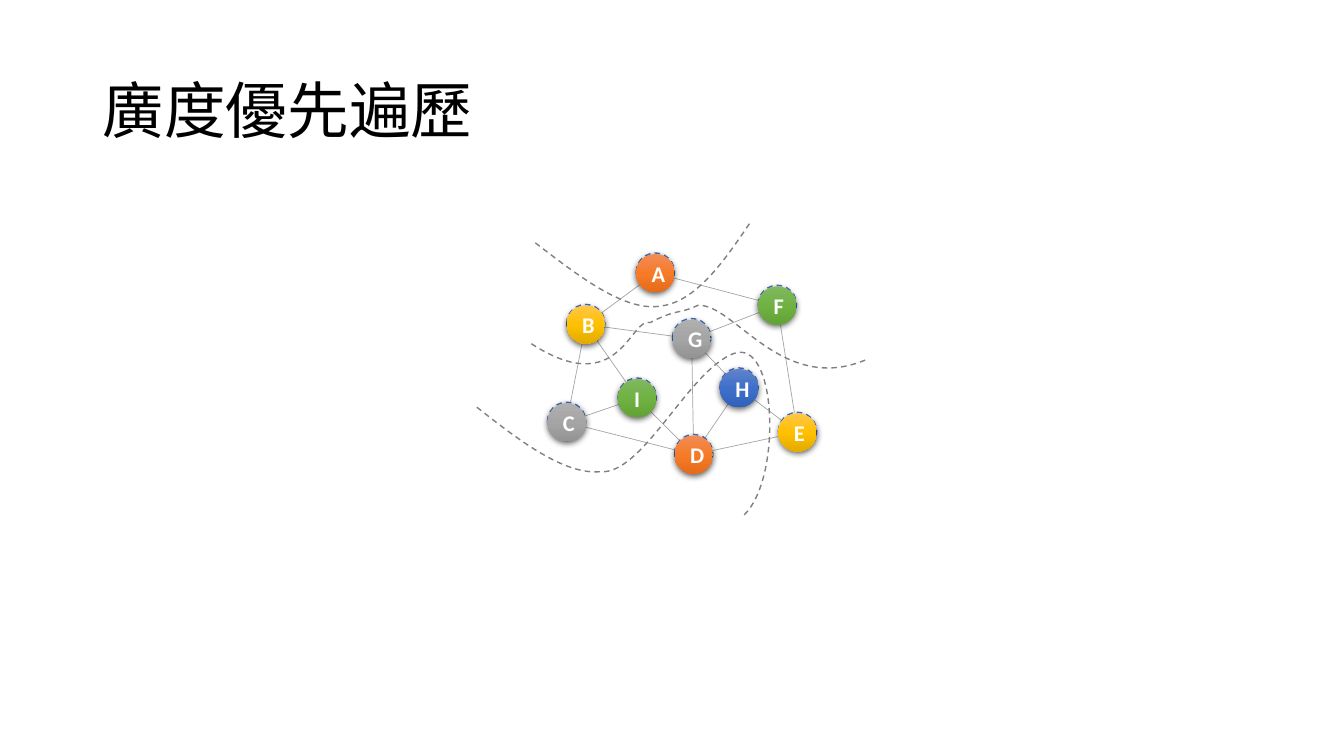
"""Build a slide showing the layers of a breadth-first traversal of a graph."""
from dataclasses import dataclass

from lxml.etree import SubElement
from pptx import Presentation
from pptx.dml.color import RGBColor
from pptx.enum.dml import MSO_LINE
from pptx.enum.shapes import MSO_CONNECTOR, MSO_SHAPE
from pptx.enum.text import MSO_ANCHOR, PP_ALIGN
from pptx.oxml.ns import qn
from pptx.shapes.autoshape import Shape
from pptx.shapes.shapetree import SlideShapes
from pptx.text.text import TextFrame
from pptx.util import Inches, Pt

Point = tuple[float, float]
Gradient = tuple[RGBColor, RGBColor, RGBColor]

BLACK = RGBColor(0x00, 0x00, 0x00)
WHITE = RGBColor(0xFF, 0xFF, 0xFF)
EDGE_GRAY = RGBColor(0xA5, 0xA5, 0xA5)
LAYER_GRAY = RGBColor(0x80, 0x80, 0x80)
RING_BLUE = RGBColor(0x44, 0x72, 0xC4)
BLUE = (RGBColor(0x61, 0x83, 0xCB), RGBColor(0x3E, 0x70, 0xCA), RGBColor(0x30, 0x62, 0xBB))
ORANGE = (RGBColor(0xF1, 0x8C, 0x57), RGBColor(0xF6, 0x7B, 0x28), RGBColor(0xE5, 0x6C, 0x19))
GOLD = (RGBColor(0xFF, 0xC6, 0x4B), RGBColor(0xFF, 0xC0, 0x00), RGBColor(0xE3, 0xAB, 0x00))
GRAY = (RGBColor(0xAF, 0xAF, 0xAF), RGBColor(0xA5, 0xA5, 0xA5), RGBColor(0x93, 0x93, 0x93))
GREEN = (RGBColor(0x81, 0xB8, 0x61), RGBColor(0x6F, 0xB2, 0x42), RGBColor(0x62, 0xA3, 0x36))

DIAMETER = 0.38
RING_RISE = 0.01
TITLE_FONT = "Noto Sans CJK SC"


@dataclass(frozen=True)
class Vertex:
    """A labelled graph vertex, placed by its centre in inches."""
    label: str
    x: float
    y: float
    gradient: Gradient


VERTICES = [
    Vertex("H", 7.33, 3.85, BLUE),
    Vertex("A", 6.5, 2.71, ORANGE),
    Vertex("B", 5.81, 3.22, GOLD),
    Vertex("G", 6.86, 3.36, GRAY),
    Vertex("F", 7.71, 3.03, GREEN),
    Vertex("C", 5.62, 4.19, GRAY),
    Vertex("I", 6.32, 3.95, GREEN),
    Vertex("D", 6.88, 4.51, ORANGE),
    Vertex("E", 7.91, 4.29, GOLD),
]
EDGES = "AB BC ED DC FE FG FA GB IC BI ID GD GH HE HD".split()
LAYER_CURVES: list[list[Point]] = [
    [(5.31, 2.41), (5.74, 2.74), (6.18, 3.08), (6.53, 3.04),
     (6.89, 3.01), (7.17, 2.61), (7.44, 2.21)],
    [(5.27, 3.41), (6.15, 3.98), (6.25, 3.14), (6.45, 3.2), (6.72, 3.06),
     (6.73, 3.12), (6.92, 3.03), (7.28, 3), (7.76, 3.94), (8.61, 3.56)],
    [(4.73, 4.04), (5.16, 4.38), (5.6, 4.71), (5.95, 4.68), (6.37, 4.72),
     (6.82, 3.69), (7.27, 3.51), (7.71, 3.33), (7.76, 4.75), (7.38, 5.11)],
]


def add_title(shapes: SlideShapes, title: str) -> None:
    """Write the slide title."""
    box = shapes.add_textbox(Inches(0.92), Inches(0.4), Inches(11.5), Inches(1.45))
    frame: TextFrame = box.text_frame
    frame.word_wrap = True
    frame.vertical_anchor = MSO_ANCHOR.MIDDLE
    paragraph = frame.paragraphs[0]
    paragraph.line_spacing = 0.9
    run = paragraph.add_run()
    run.text = title
    run.font.size = Pt(44)
    run.font.color.rgb = BLACK
    run.font.name = TITLE_FONT
    SubElement(run.font._element, qn("a:ea"), typeface=TITLE_FONT)


def add_edge(shapes: SlideShapes, start: Vertex, end: Vertex) -> None:
    """Join the centres of two vertices."""
    edge = shapes.add_connector(MSO_CONNECTOR.STRAIGHT, Inches(start.x), Inches(start.y),
                                Inches(end.x), Inches(end.y))
    edge.line.color.rgb = EDGE_GRAY
    edge.line.width = Pt(0.5)
    SubElement(edge.element.spPr, qn("a:effectLst"))


def dash_outline(shape: Shape, color: RGBColor) -> None:
    """Give a shape a thin dashed outline."""
    shape.line.color.rgb = color
    shape.line.width = Pt(1)
    shape.line.dash_style = MSO_LINE.DASH


def add_circle(shapes: SlideShapes, x: float, y: float) -> Shape:
    """Place a circle without shadow around a centre."""
    circle = shapes.add_shape(MSO_SHAPE.OVAL, Inches(x - DIAMETER / 2), Inches(y - DIAMETER / 2),
                              Inches(DIAMETER), Inches(DIAMETER))
    circle.shadow.inherit = False
    return circle


def add_ring(shapes: SlideShapes, vertex: Vertex) -> None:
    """Draw the dashed ring that peeks out above a vertex."""
    ring = add_circle(shapes, vertex.x, vertex.y - RING_RISE)
    ring.fill.solid()
    ring.fill.fore_color.rgb = WHITE
    dash_outline(ring, RING_BLUE)


def shade(disc: Shape, gradient: Gradient) -> None:
    """Apply a top-down gradient and a soft shadow below."""
    disc.fill.gradient()
    disc.fill.gradient_angle = 270
    properties = disc.element.spPr
    stops = properties.find(".//" + qn("a:gsLst"))
    stops.clear()
    for position, color in zip((0, 50000, 100000), gradient):
        stop = SubElement(stops, qn("a:gs"), pos=str(position))
        SubElement(stop, qn("a:srgbClr"), val=str(color))
    shadow = SubElement(properties.find(qn("a:effectLst")), qn("a:outerShdw"),
                        blurRad=str(Pt(4.5)), dist=str(Pt(1.5)), dir="5400000",
                        algn="ctr", rotWithShape="0")
    shadow_color = SubElement(shadow, qn("a:srgbClr"), val=str(BLACK))
    SubElement(shadow_color, qn("a:alpha"), val="63000")


def add_disc(shapes: SlideShapes, vertex: Vertex) -> None:
    """Draw a shaded vertex with its letter."""
    disc = add_circle(shapes, vertex.x, vertex.y)
    shade(disc, vertex.gradient)
    disc.line.fill.background()
    disc.text_frame.vertical_anchor = MSO_ANCHOR.MIDDLE
    paragraph = disc.text_frame.paragraphs[0]
    paragraph.alignment = PP_ALIGN.CENTER
    run = paragraph.add_run()
    run.text = vertex.label
    run.font.size = Pt(16)
    run.font.bold = True
    run.font.name = "Calibri"
    run.font.color.rgb = WHITE


def add_layer_curve(shapes: SlideShapes, points: list[Point]) -> None:
    """Draw a dashed chain of cubic curves between traversal layers."""
    start, *controls = [(Inches(x), Inches(y)) for x, y in points]
    builder = shapes.build_freeform(*start)
    builder.add_line_segments(controls, close=False)
    curve = builder.convert_to_shape()
    outline = curve.element.find(".//" + qn("a:path"))
    segments = outline.findall(qn("a:lnTo"))
    for first in range(0, len(segments), 3):
        cubic = SubElement(outline, qn("a:cubicBezTo"))
        for segment in segments[first:first + 3]:
            cubic.append(segment[0])
            outline.remove(segment)
    curve.fill.background()
    curve.shadow.inherit = False
    dash_outline(curve, LAYER_GRAY)


def main() -> None:
    """Assemble and save the slide."""
    presentation = Presentation()
    presentation.slide_width = Inches(13.33)
    presentation.slide_height = Inches(7.5)
    shapes = presentation.slides.add_slide(presentation.slide_layouts[6]).shapes
    add_title(shapes, "廣度優先遍歷")
    by_label = {vertex.label: vertex for vertex in VERTICES}
    for start, end in EDGES:
        add_edge(shapes, by_label[start], by_label[end])
    for draw in (add_ring, add_disc):
        for vertex in VERTICES:
            draw(shapes, vertex)
    for points in LAYER_CURVES:
        add_layer_curve(shapes, points)
    presentation.save("out.pptx")


if __name__ == "__main__":
    main()
